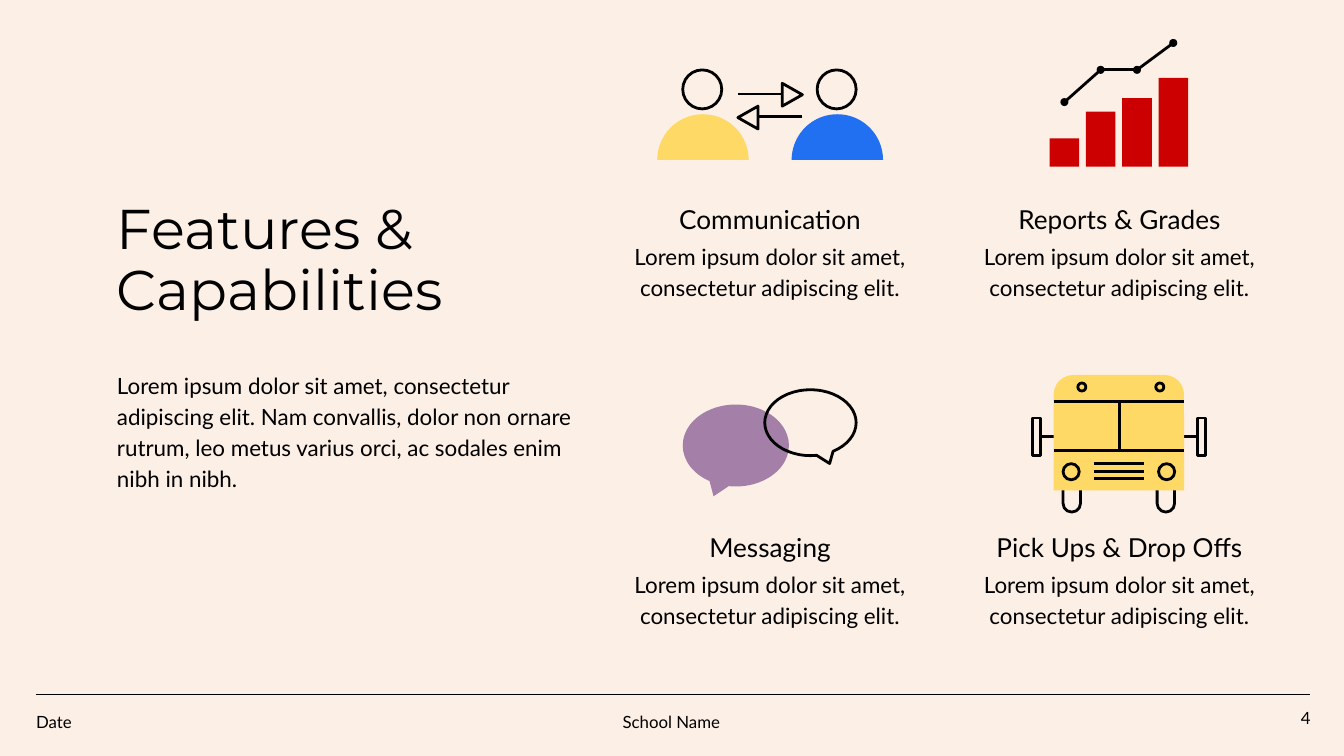
from dataclasses import dataclass
from itertools import pairwise

from lxml import etree
from pptx import Presentation
from pptx.dml.color import RGBColor
from pptx.enum.shapes import MSO_CONNECTOR, MSO_SHAPE
from pptx.enum.text import MSO_ANCHOR, MSO_AUTO_SIZE, PP_ALIGN
from pptx.oxml.ns import qn
from pptx.util import Inches, Pt

PX = 9144  # 100 px to the inch
LEFT, CENTER, RIGHT = PP_ALIGN.LEFT, PP_ALIGN.CENTER, PP_ALIGN.RIGHT
TOP, MIDDLE, BOTTOM = MSO_ANCHOR.TOP, MSO_ANCHOR.MIDDLE, MSO_ANCHOR.BOTTOM
OVAL, RECT, TRIANGLE = MSO_SHAPE.OVAL, MSO_SHAPE.RECTANGLE, MSO_SHAPE.ISOSCELES_TRIANGLE
PIE, CALLOUT = MSO_SHAPE.PIE, MSO_SHAPE.OVAL_CALLOUT
ROUNDED, ROUND_TOP = MSO_SHAPE.ROUNDED_RECTANGLE, MSO_SHAPE.ROUND_2_SAME_RECTANGLE


@dataclass(frozen=True)
class Theme:
    background: str = "FCEFE5"
    ink: str = "000000"
    yellow: str = "FFD966"
    blue: str = "2170F2"
    red: str = "CC0000"
    purple: str = "A47FA7"
    heading_font: str = "Montserrat"
    text_font: str = "Lato"
    title_size: int = 30
    subtitle_size: int = 14
    body_size: int = 12
    footer_size: int = 9
    stroke: float = 1.5
    rule: float = 0.75


THEME = Theme()
CARD_WIDTH, CARD_PITCH_X, CARD_PITCH_Y = 246, 260, 244
CARD_TEXT = "Lorem ipsum dolor sit amet, consectetur adipiscing elit."
INTRO = ("Lorem ipsum dolor sit amet, consectetur adipiscing elit. Nam convallis, "
         "dolor non ornare rutrum, leo metus varius orci, ac sodales enim nibh in nibh.")


def emu(*lengths):
    return [length * PX for length in lengths]


def set_all(target, values):
    for name, value in values.items():
        setattr(target, name, value)


def write(holder, text, size, align=LEFT, anchor=TOP, font=THEME.text_font,
          spacing=1.15, after=12):
    frame = holder.text_frame
    frame.text = text
    margins = dict.fromkeys(
        ("margin_left", "margin_top", "margin_right", "margin_bottom"), 10 * PX)
    set_all(frame, {**margins, "word_wrap": True, "vertical_anchor": anchor,
                    "auto_size": MSO_AUTO_SIZE.NONE})
    paragraph = frame.paragraphs[0]
    set_all(paragraph, {"alignment": align, "line_spacing": spacing,
                        "space_before": Pt(0), "space_after": Pt(after)})
    run_font = paragraph.runs[0].font
    set_all(run_font, {"name": font, "size": Pt(size)})
    run_font.color.rgb = RGBColor.from_string(THEME.ink)


def add_text(slide, box, text, size, **style):
    write(slide.shapes.add_textbox(*emu(*box)), text, size, **style)


def place(placeholder, box):
    set_all(placeholder, dict(zip(("left", "top", "width", "height"), emu(*box))))


def add_line(shapes, start, end, weight=THEME.stroke):
    line = shapes.add_connector(MSO_CONNECTOR.STRAIGHT, *emu(*start, *end))
    line.line.color.rgb = RGBColor.from_string(THEME.ink)
    line.line.width = Pt(weight)
    etree.SubElement(line._element.spPr, qn("a:effectLst"))


class Icon:
    """A group whose parts are placed relative to the icon's corner."""

    def __init__(self, slide, left, top):
        self.shapes = slide.shapes.add_group_shape().shapes
        self.left, self.top = left, top

    def shape(self, kind, box, fill=None, rotation=0, adjust=()):
        """Add a filled shape, or an outlined one when fill is None."""
        x, y, width, height = box
        part = self.shapes.add_shape(kind, *emu(self.left + x, self.top + y, width, height))
        part.shadow.inherit = False
        part.rotation = rotation
        for index, value in enumerate(adjust):
            part.adjustments[index] = value
        if fill:
            part.fill.solid()
            part.fill.fore_color.rgb = RGBColor.from_string(fill)
            part.line.fill.background()
        else:
            part.fill.background()
            part.line.color.rgb = RGBColor.from_string(THEME.ink)
            part.line.width = Pt(THEME.stroke)

    def line(self, x1, y1, x2, y2):
        add_line(self.shapes, (self.left + x1, self.top + y1), (self.left + x2, self.top + y2))


def draw_communication(icon):
    for x1, x2, y, head_x, rotation in ((60, 93, 18, 92, 90), (108, 74, 35, 59, 270)):
        icon.line(x1, y, x2, y)
        icon.shape(TRIANGLE, (head_x, y - 7, 17, 15), rotation=rotation)
    for x, color in ((0, THEME.yellow), (100, THEME.blue)):
        icon.shape(PIE, (x, 33, 68, 68), color, rotation=90, adjust=(54, 162))
        icon.shape(OVAL, (x + 19, 0, 29, 29))


def draw_reports(icon):
    base, pitch = 95, 27
    for index, height in enumerate((21, 41, 51, 66)):
        icon.shape(RECT, (index * pitch, base - height, 22, height), THEME.red)
    points = [(11 + index * pitch, y) for index, y in enumerate((47, 23, 23, 3))]
    for x, y in points:
        icon.shape(OVAL, (x - 3, y - 3, 6, 6), THEME.ink)
    for start, end in pairwise(points):
        icon.line(*start, *end)


def draw_messaging(icon):
    icon.shape(CALLOUT, (0, 11, 79, 61), THEME.purple, adjust=(-0.21, 0.62))
    icon.shape(CALLOUT, (61, 0, 68, 49), adjust=(0.21, 0.62))


def draw_bus(icon):
    for mirror_x, arm_start, arm_end, wheel_x in ((0, 6, 22, 23), (123, 123, 107, 93)):
        icon.shape(RECT, (mirror_x, 32, 6, 28))
        icon.line(arm_start, 46, arm_end, 46)
        icon.shape(ROUNDED, (wheel_x, 70, 13, 32), adjust=(0.5,))
    icon.shape(ROUND_TOP, (16, 0, 97, 86), THEME.yellow, adjust=(0.17, 0))
    for x1, x2, y in ((16, 113, 20), (16, 113, 56), (46, 83, 66), (46, 83, 72), (46, 83, 77)):
        icon.line(x1, y, x2, y)
    icon.line(65, 20, 65, 55)
    for lamp_x, headlight_x in ((34, 23), (92, 94)):
        icon.shape(OVAL, (lamp_x, 6, 6, 6))
        icon.shape(OVAL, (headlight_x, 66, 12, 12))


# heading, icon, icon width, rise of the icon above the heading
FEATURES = (
    ("Communication", draw_communication, 168, 86),
    ("Reports & Grades", draw_reports, 104, 109),
    ("Messaging", draw_messaging, 129, 92),
    ("Pick Ups & Drop Offs", draw_bus, 129, 103),
)


def add_feature(slide, left, top, heading, draw_icon, icon_width, rise):
    add_text(slide, (left, top + 30, CARD_WIDTH, 80), CARD_TEXT, THEME.body_size, align=CENTER)
    add_text(slide, (left, top, CARD_WIDTH, 34), heading, THEME.subtitle_size, align=CENTER)
    draw_icon(Icon(slide, left + (CARD_WIDTH - icon_width) // 2, top - rise))


def add_features(slide, left, top):
    for index, feature in enumerate(FEATURES):
        row, column = divmod(index, 2)
        add_feature(slide, left + column * CARD_PITCH_X, top + row * CARD_PITCH_Y, *feature)


def add_intro(slide, left, top):
    title, body = slide.placeholders
    place(title, (left, top, 376, 100))
    write(title, "Features & Capabilities", THEME.title_size, anchor=BOTTOM,
          font=THEME.heading_font, spacing=0.9, after=0)
    place(body, (left, top + 114, 360, 124))
    write(body, INTRO, THEME.body_size)
    properties = body.text_frame.paragraphs[0]._p.get_or_add_pPr()
    properties.set("marL", "0")
    properties.set("indent", "0")
    etree.SubElement(properties, qn("a:buNone"))


def add_footer(slide, left, top, width):
    add_line(slide.shapes, (left, top), (left + width, top), THEME.rule)
    add_text(slide, (left - 10, top, 163, 34), "Date", THEME.footer_size)
    add_text(slide, (left + 391, top, 163, 34), "School Name", THEME.footer_size, align=CENTER)
    add_text(slide, (left + width - 50, top, 60, 34), "4", THEME.footer_size,
             align=RIGHT, anchor=MIDDLE, spacing=1, after=0)


def main():
    deck = Presentation()
    deck.slide_width = Inches(10)
    deck.slide_height = deck.slide_width * 9 // 16
    slide = deck.slides.add_slide(deck.slide_layouts[1])
    slide.background.fill.solid()
    slide.background.fill.fore_color.rgb = RGBColor.from_string(THEME.background)
    add_intro(slide, 77, 150)
    add_features(slide, 450, 138)
    add_footer(slide, 27, 517, 948)
    deck.save("out.pptx")


if __name__ == "__main__":
    main()
